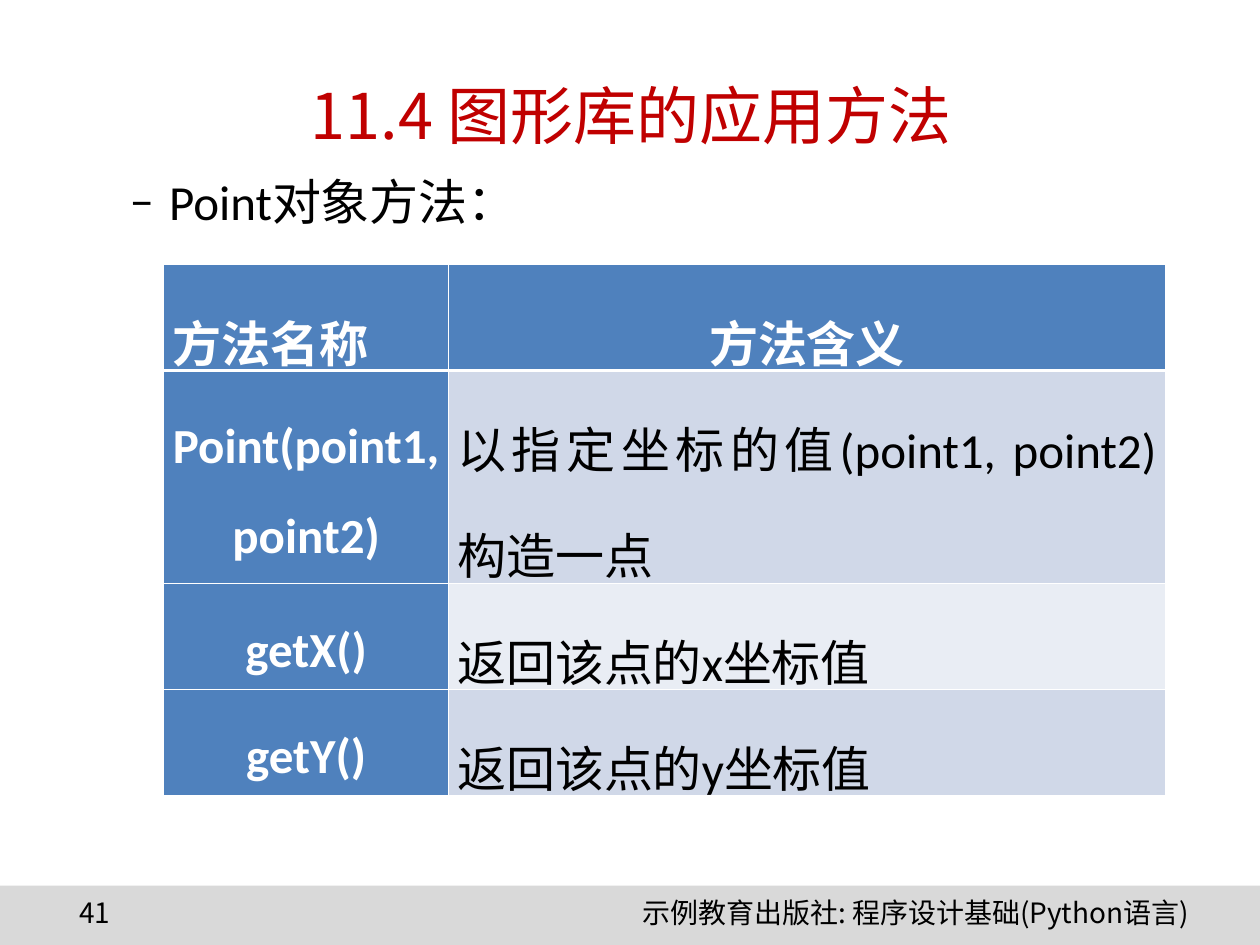
"""Build the slide on the methods of the Point object."""
from lxml.etree import SubElement
from pptx import Presentation
from pptx.dml.color import RGBColor
from pptx.enum.shapes import MSO_SHAPE
from pptx.enum.text import MSO_ANCHOR, PP_ALIGN
from pptx.oxml.ns import qn
from pptx.util import Pt

COLORS = {"black": "000000", "white": "FFFFFF", "title": "C00000", "bar": "D9D9D9",
          "blue": "4F81BD", "dark band": "D0D8E8", "light band": "E9EDF4"}
LATIN, CHINESE = "Calibri", "Noto Sans CJK SC"
LEFT, CENTER, RIGHT, JUSTIFY = PP_ALIGN.LEFT, PP_ALIGN.CENTER, PP_ALIGN.RIGHT, PP_ALIGN.JUSTIFY

TEXTS = [
    ("示例教育出版社: 程序设计基础(Python语言)", (234, 508.3, 452.2, 28.8), 16, CHINESE, "black", RIGHT, MSO_ANCHOR.TOP),
    ("41", (38.2, 508.3, 97.9, 28.8), 16, CHINESE, "black", LEFT, MSO_ANCHOR.TOP),
    ("11.4 图形库的应用方法", (36.7, 20.2, 648, 90), 36, CHINESE, "title", CENTER, MSO_ANCHOR.MIDDLE),
]
BULLET_TEXT = ("Point对象方法：", (31, 94.3, 653.8, 425.5), 28, LATIN, "black", LEFT, MSO_ANCHOR.TOP)
METHODS = [
    ("方法名称", "方法含义"),
    ("Point(point1, point2)", "以指定坐标的值(point1, point2)构造一点"),
    ("getX()", "返回该点的x坐标值"),
    ("getY()", "返回该点的y坐标值"),
]
TABLE_LEFT, TABLE_TOP = 93.6, 151.2
COLUMN_WIDTHS = (162.7, 409.7)
ROW_HEIGHTS = (60.5, 121.7, 60.5, 60.5)
THIN, THICK = 0.45, 1.47


def color(name):
    return RGBColor.from_string(COLORS[name])


def style(paragraph, size, font, color_name, align, bold=False):
    paragraph.alignment = align
    for span in paragraph.runs:
        span.font.size = Pt(size)
        span.font.bold = bold
        span.font.name = font
        span.font.color.rgb = color(color_name)
        SubElement(span.font._element, qn("a:ea"), typeface=CHINESE)


def add_text(page, text, place, size, font, color_name, align, anchor):
    box = page.shapes.add_textbox(*map(Pt, place))
    frame = box.text_frame
    frame.word_wrap = True
    frame.vertical_anchor = anchor
    frame.text = text
    style(frame.paragraphs[0], size, font, color_name, align)
    return frame.paragraphs[0]


def add_dash(paragraph):
    properties = paragraph._p.get_or_add_pPr()
    properties.set("marL", str(Pt(58.5)))
    properties.set("indent", str(-Pt(22.5)))
    bullet_color = SubElement(properties, qn("a:buClr"))
    SubElement(bullet_color, qn("a:srgbClr"), val=COLORS["black"])
    SubElement(properties, qn("a:buFont"), typeface=LATIN)
    SubElement(properties, qn("a:buChar"), char="–")


def add_borders(cell, row):
    properties = cell._tc.get_or_add_tcPr()
    widths = {"L": THIN, "R": THIN, "T": THICK if row == 1 else THIN, "B": THICK if row == 0 else THIN}
    for index, (side, width) in enumerate(widths.items()):
        line = properties.makeelement(qn(f"a:ln{side}"), {"w": str(Pt(width))})
        fill = SubElement(line, qn("a:solidFill"))
        SubElement(fill, qn("a:srgbClr"), val=COLORS["white"])
        properties.insert(index, line)


def fill_cell(cell, text, row, column):
    heading = row == 0 or column == 0
    band = "dark band" if row % 2 else "light band"
    cell.fill.solid()
    cell.fill.fore_color.rgb = color("blue" if heading else band)
    add_borders(cell, row)
    cell.margin_left = cell.margin_right = Pt(5)
    cell.margin_top = cell.margin_bottom = Pt(3.6)
    cell.vertical_anchor = MSO_ANCHOR.MIDDLE
    cell.text_frame.text = text
    paragraph = cell.text_frame.paragraphs[0]
    paragraph.line_spacing = 1.5
    align = CENTER if heading and (row, column) != (0, 0) else JUSTIFY
    style(paragraph, 28, LATIN, "white" if heading else "black", align, heading)


def add_methods(page):
    table = page.shapes.add_table(
        len(METHODS), len(COLUMN_WIDTHS), Pt(TABLE_LEFT), Pt(TABLE_TOP),
        Pt(sum(COLUMN_WIDTHS)), Pt(sum(ROW_HEIGHTS))).table
    for column, width in zip(table.columns, COLUMN_WIDTHS):
        column.width = Pt(width)
    for row, height in zip(table.rows, ROW_HEIGHTS):
        row.height = Pt(height)
    for row, texts in enumerate(METHODS):
        for column, text in enumerate(texts):
            fill_cell(table.cell(row, column), text, row, column)


def main():
    deck = Presentation()
    deck.slide_width, deck.slide_height = Pt(720), Pt(540)
    page = deck.slides.add_slide(deck.slide_layouts[6])
    bar = page.shapes.add_shape(MSO_SHAPE.RECTANGLE, Pt(0), Pt(506), Pt(720), Pt(34))
    bar.shadow.inherit = False
    bar.fill.solid()
    bar.fill.fore_color.rgb = color("bar")
    bar.line.fill.background()
    for text in TEXTS:
        add_text(page, *text)
    add_dash(add_text(page, *BULLET_TEXT))
    add_methods(page)
    deck.save("out.pptx")


if __name__ == "__main__":
    main()
